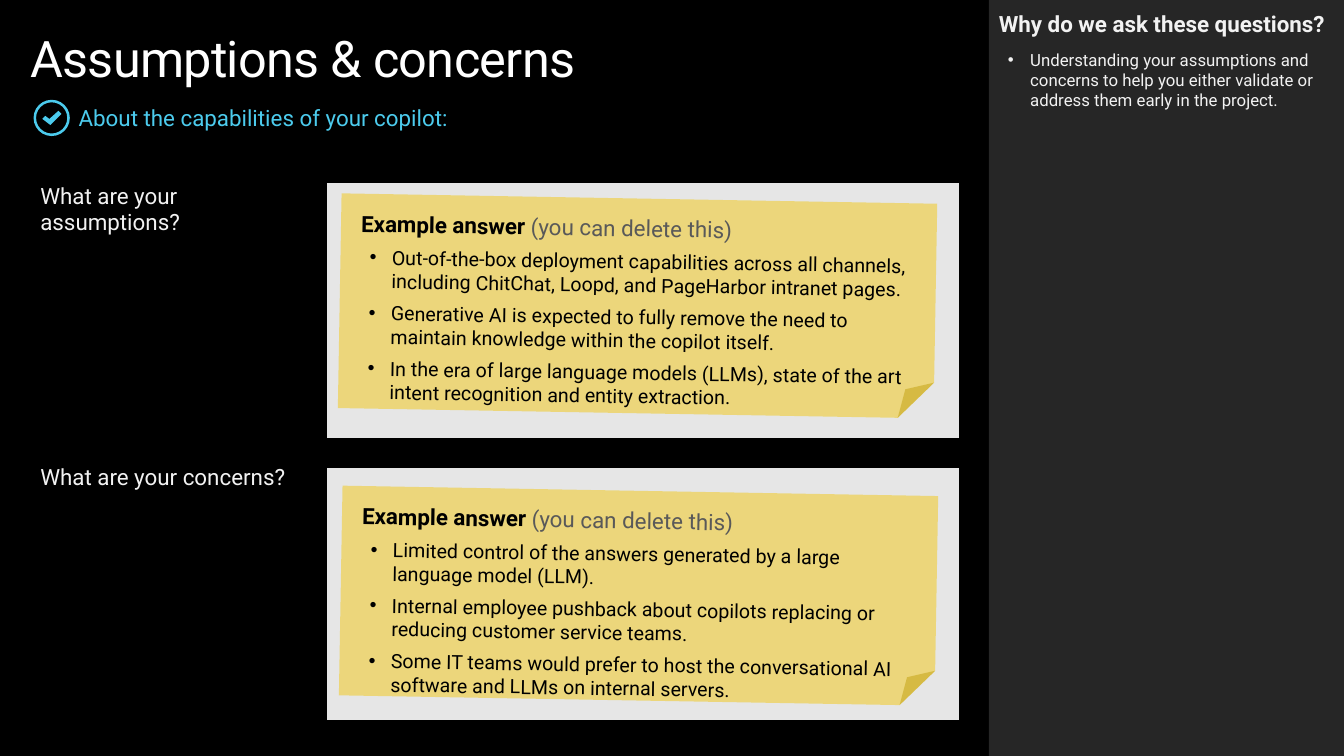
from lxml import etree
from pptx import Presentation
from pptx import util as u
from pptx.dml.color import RGBColor
from pptx.enum import shapes, text
from pptx.oxml.ns import qn

COLORS = {"black": "000000", "white": "FFFFFF", "pale": "F2F2F2", "panel": "262626",
          "cyan": "4CCBED", "field": "E6E6E6", "note": "F2C811", "hint": "595959"}
WIDTH, HEIGHT = u.Inches(13.33), u.Inches(7.5)
COLUMN, ROW = WIDTH / 40, HEIGHT / 30
FONT = "Roboto"

SIDEBAR_LEFT, SIDEBAR_COLUMNS = 29.43, 10.59
TABLE_COLUMNS = (8.52, 18.81)
TABLE_ROWS = (10.24, 0.92, 10.12)
TICK = ((1.74, 4.4), (1.47, 4.72), (1.35, 4.6), (1.26, 4.72), (1.5, 4.96), (1.83, 4.52))

QUESTIONS = ("What are your assumptions?", "What are your concerns?")
ASSUMPTIONS = (
    "Out-of-the-box deployment capabilities across all channels, "
    "including ChitChat, Loopd, and PageHarbor intranet pages.",
    "Generative AI is expected to fully remove the need to maintain knowledge "
    "within the copilot itself.",
    "In the era of large language models (LLMs), state of the art intent recognition "
    "and entity extraction.",
)
CONCERNS = (
    "Limited control of the answers generated by a large language model (LLM).",
    "Internal employee pushback about copilots replacing or reducing customer service teams.",
    "Some IT teams would prefer to host the conversational AI software and LLMs "
    "on internal servers.",
)
REASON = ("Understanding your assumptions and concerns to help you either validate "
          "or address them early in the project.")


def grid(left, top, columns, rows):
    return (round(left * COLUMN), round(top * ROW), round(columns * COLUMN), round(rows * ROW))


def rgb(name):
    return RGBColor.from_string(COLORS[name])


def paint(shape, color):
    shape.shadow.inherit = False
    shape.fill.solid()
    shape.fill.fore_color.rgb = rgb(color)
    shape.line.fill.background()


def set_frame(frame, anchor, side=0.0, end=0.0):
    values = {"word_wrap": True, "auto_size": text.MSO_AUTO_SIZE.NONE,
              "vertical_anchor": anchor, "margin_left": u.Inches(side),
              "margin_right": u.Inches(side), "margin_top": u.Inches(end),
              "margin_bottom": u.Inches(end)}
    for name, value in values.items():
        setattr(frame, name, value)


def write(frame, spans, bullet=False, before=0, after=0):
    """Add a paragraph of (words, size, color, bold) spans; an empty frame's first one is reused."""
    para = frame.paragraphs[0] if not frame.text else frame.add_paragraph()
    props = para._p.get_or_add_pPr()
    props.set("marL", str(u.Inches(0.31) if bullet else 0))
    props.set("indent", str(u.Inches(-0.22) if bullet else 0))
    if bullet:
        etree.SubElement(props, qn("a:buFont"), typeface="Arial")
        etree.SubElement(props, qn("a:buChar"), char="•")
    else:
        etree.SubElement(props, qn("a:buNone"))
    layout = {"alignment": text.PP_ALIGN.LEFT, "space_before": u.Pt(before),
              "space_after": u.Pt(after)}
    for name, value in layout.items():
        setattr(para, name, value)
    for words, size, color, bold in spans:
        span = para.add_run()
        span.text = words
        for name, value in {"name": FONT, "size": u.Pt(size), "bold": bold}.items():
            setattr(span.font, name, value)
        span.font.color.rgb = rgb(color)
    return para


def place(shape, *cells):
    for name, value in zip(("left", "top", "width", "height"), grid(*cells)):
        setattr(shape, name, value)


def fill_placeholders(page):
    title, subtitle, sidebar = page.placeholders
    place(title, 0.9, 1.04, 27.63, 2.44)
    set_frame(title.text_frame, text.MSO_ANCHOR.BOTTOM)
    para = write(title.text_frame, [("Assumptions & concerns", 36, "white", False)])
    para.runs[0].font._element.set("spc", "-50")

    place(subtitle, 2.34, 4.12, 26.19, 1.08)
    set_frame(subtitle.text_frame, text.MSO_ANCHOR.MIDDLE)
    write(subtitle.text_frame, [("About the capabilities of your copilot:", 16, "cyan", False)])

    place(sidebar, SIDEBAR_LEFT, 0, SIDEBAR_COLUMNS, 4.8)
    set_frame(sidebar.text_frame, text.MSO_ANCHOR.TOP, 0.1, 0.1)
    write(sidebar.text_frame, [("Why do we ask these questions?", 16, "pale", True)], after=6)
    write(sidebar.text_frame, [(REASON, 12, "pale", False)], bullet=True, before=3)


def add_sidebar_panel(page):
    panel = page.shapes.add_shape(shapes.MSO_SHAPE.RECTANGLE,
                                  *grid(SIDEBAR_LEFT, 0, SIDEBAR_COLUMNS, 30))
    paint(panel, "panel")
    page.shapes._spTree.insert(2, panel._element)


def add_check_icon(page):
    icon = page.shapes.add_group_shape()
    ring = icon.shapes.add_shape(shapes.MSO_SHAPE.DONUT, *grid(1, 3.96, 1.08, 1.44))
    ring.adjustments[0] = 0.07
    points = [(round(x * COLUMN), round(y * ROW)) for x, y in TICK]
    builder = icon.shapes.build_freeform(*points[0])
    builder.add_line_segments(points[1:])
    for part in (ring, builder.convert_to_shape()):
        paint(part, "cyan")


def set_borders(cell, black_sides):
    props = cell._tc.get_or_add_tcPr()
    for side in "LRTB":
        line = etree.SubElement(props, qn(f"a:ln{side}"), w=str(u.Pt(6)))
        if side in black_sides:
            fill = etree.SubElement(line, qn("a:solidFill"))
            etree.SubElement(fill, qn("a:srgbClr"), val=COLORS["black"])
        else:
            etree.SubElement(line, qn("a:noFill"))


def add_question_table(page):
    table = page.shapes.add_table(3, 2, *grid(1.2, 7.28, sum(TABLE_COLUMNS),
                                              sum(TABLE_ROWS))).table
    table.first_row = table.horz_banding = False
    for column, share in zip(table.columns, TABLE_COLUMNS):
        column.width = round(share * COLUMN)
    for index, (row, share) in enumerate(zip(table.rows, TABLE_ROWS)):
        row.height = round(share * ROW)
        for cell, color in zip(row.cells, ("black", "black" if index == 1 else "field")):
            set_borders(cell, ("B", "TB", "T")[index])
            cell.fill.solid()
            cell.fill.fore_color.rgb = rgb(color)
            cell.margin_left = cell.margin_top = cell.margin_bottom = 0
            cell.margin_right = u.Inches(0.1)
            cell.text_frame.paragraphs[0].font.size = u.Pt(8)
    for row, question in zip((0, 2), QUESTIONS):
        write(table.cell(row, 0).text_frame, [(question, 16, "pale", False)])


def add_note(page, answers, *cells):
    note = page.shapes.add_shape(shapes.MSO_SHAPE.FOLDED_CORNER, *grid(*cells))
    paint(note, "note")
    etree.SubElement(note._element.spPr.find(".//" + qn("a:srgbClr")), qn("a:alpha"), val="50000")
    note.rotation = 1
    set_frame(note.text_frame, text.MSO_ANCHOR.TOP, 0.2, 0.16)
    write(note.text_frame, [("Example answer ", 16, "black", True),
                            ("(you can delete this)", 16, "hint", False)], after=6)
    for answer in answers:
        write(note.text_frame, [(answer, 14, "black", False)], bullet=True, after=6)


def main():
    deck = Presentation()
    deck.slide_width, deck.slide_height = WIDTH, HEIGHT
    page = deck.slides.add_slide(deck.slide_layouts.get_by_name("Two Content"))
    page.background.fill.solid()
    page.background.fill.fore_color.rgb = rgb("black")
    fill_placeholders(page)
    add_sidebar_panel(page)
    add_check_icon(page)
    add_question_table(page)
    add_note(page, ASSUMPTIONS, 10.11, 7.88, 17.73, 8.52)
    add_note(page, CONCERNS, 10.14, 19.48, 17.73, 8.32)
    deck.save("out.pptx")


if __name__ == "__main__":
    main()
